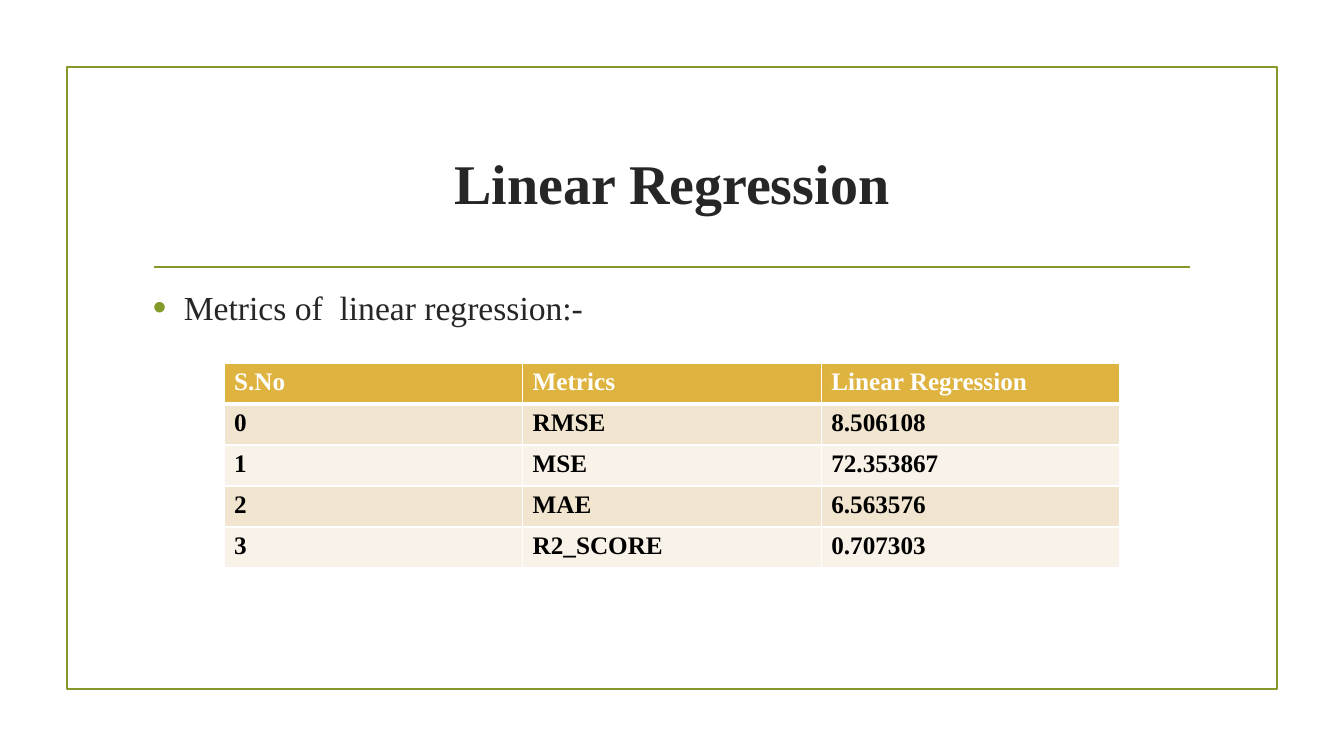
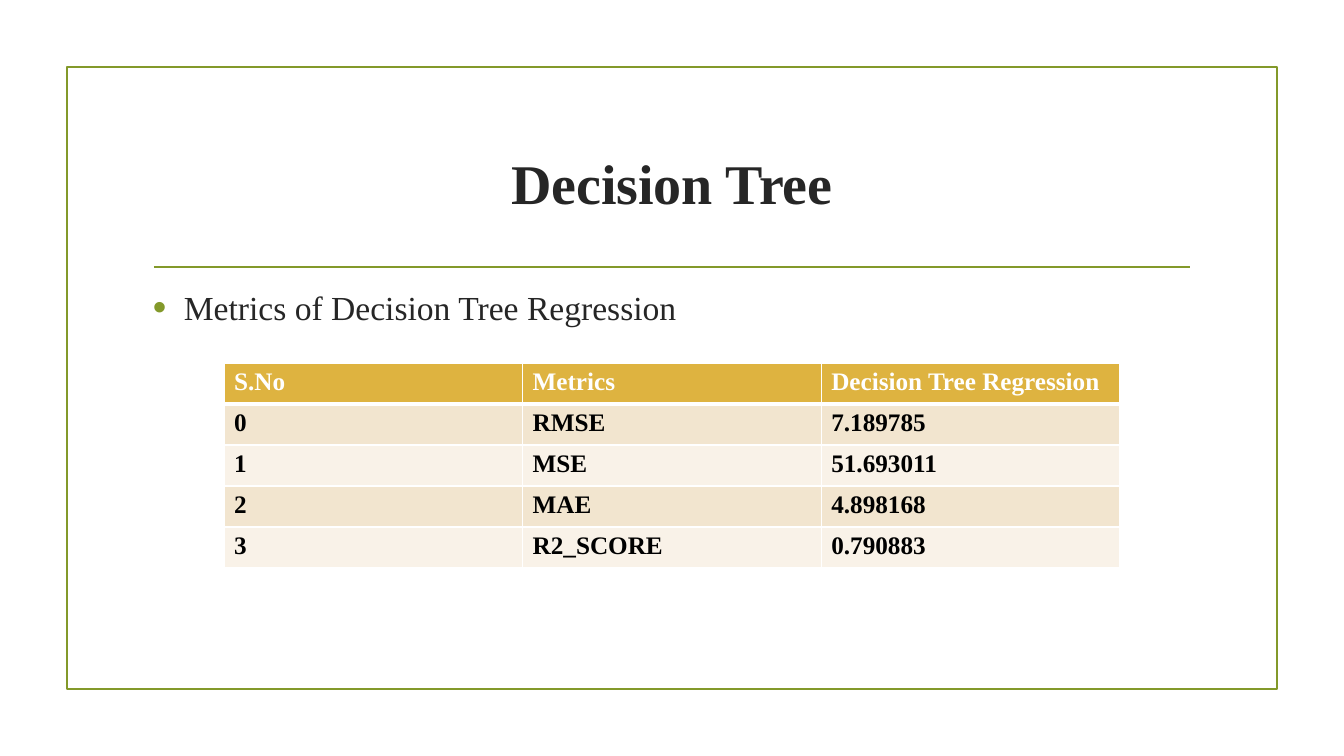
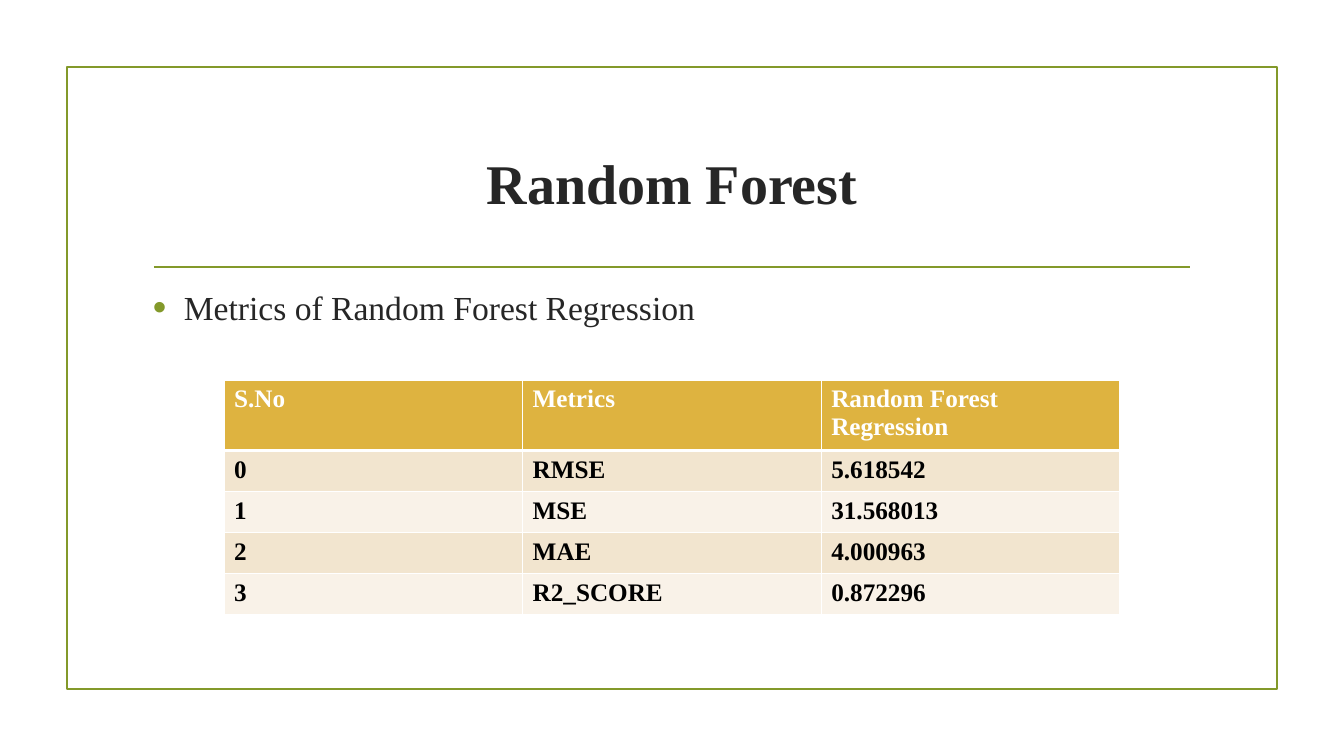
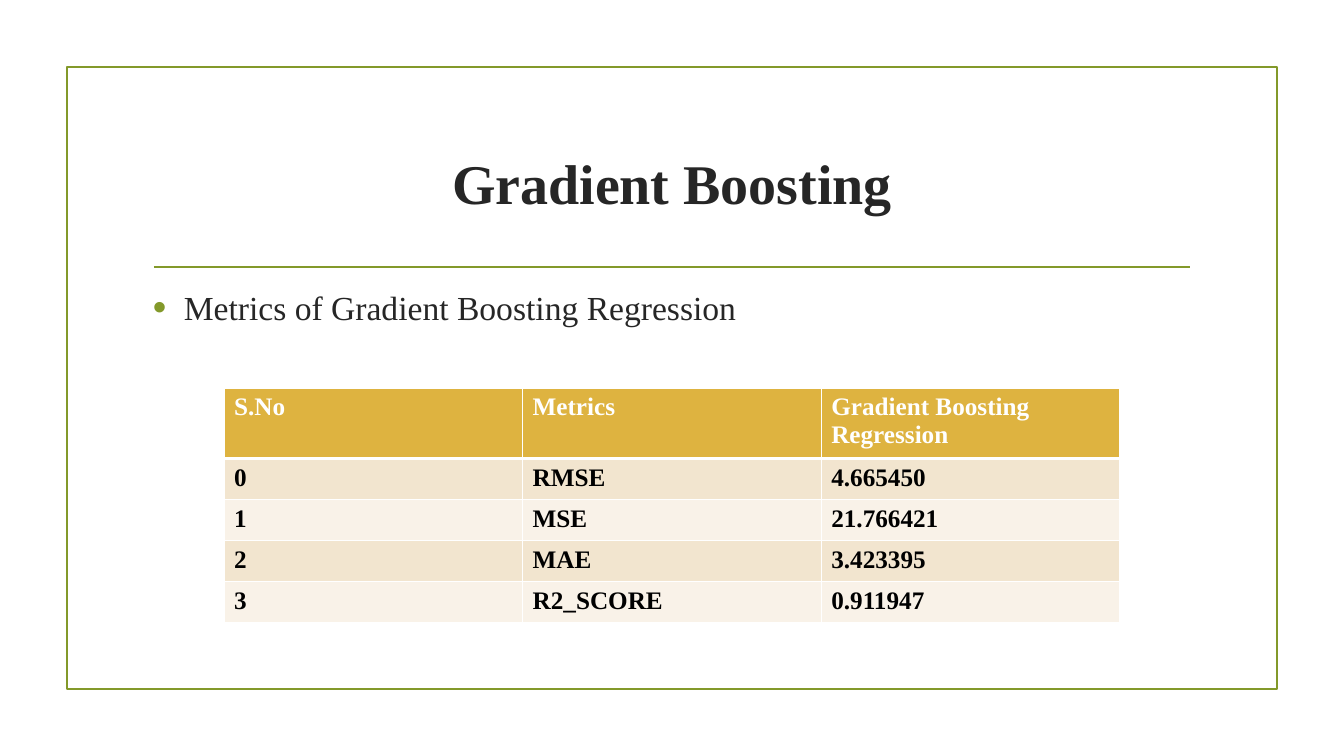
from lxml.etree import SubElement
from pptx import Presentation
from pptx.dml.color import RGBColor
from pptx.enum.shapes import MSO_CONNECTOR, MSO_SHAPE
from pptx.enum.text import MSO_ANCHOR, PP_ALIGN
from pptx.oxml.ns import qn
from pptx.util import Emu, Pt

SCALE = 914400 / 100.8  # EMU per px
FONT = "Times New Roman"
COLORS = {
    "accent": "83992A",
    "text": "262626",
    "header": "DEB340",
    "band_dark": "F2E5CF",
    "band_light": "F9F2E8",
    "white": "FFFFFF",
    "black": "000000",
}
METRICS = ["RMSE", "MSE", "MAE", "R2_SCORE"]
# title, bullet, value column heading, values, table top
MODELS = [
    ("Linear Regression", "Metrics of  linear regression:-", "Linear Regression",
     ["8.506108", "72.353867", "6.563576", "0.707303"], 363),
    ("Decision Tree", "Metrics of Decision Tree Regression", "Decision Tree Regression",
     ["7.189785", "51.693011", "4.898168", "0.790883"], 363),
    ("Random Forest", "Metrics of Random Forest Regression", "Random Forest Regression",
     ["5.618542", "31.568013", "4.000963", "0.872296"], 380),
    ("Gradient Boosting", "Metrics of Gradient Boosting Regression",
     "Gradient Boosting Regression",
     ["4.665450", "21.766421", "3.423395", "0.911947"], 388),
]


def px(*lengths):
    return [Emu(round(n * SCALE)) for n in lengths]


def write(tf, text, size=18, color="text", bold=False, align=PP_ALIGN.LEFT,
          anchor=MSO_ANCHOR.TOP):
    tf.word_wrap = True
    tf.vertical_anchor = anchor
    p = tf.paragraphs[0]
    p.alignment = align
    r = p.add_run()
    r.text = text
    r.font.name = FONT
    r.font.size = Pt(size)
    r.font.bold = bold
    r.font.color.rgb = RGBColor.from_string(COLORS[color])
    return p


prs = Presentation()
prs.slide_width, prs.slide_height = px(1344, 756)

for title, bullet, heading, values, table_top in MODELS:
    s = prs.slides.add_slide(prs.slide_layouts[6])

    # Frame and rule
    frame = s.shapes.add_shape(MSO_SHAPE.RECTANGLE, *px(67, 67, 1210, 622))
    frame.shadow.inherit = False
    frame.fill.background()
    rule = s.shapes.add_connector(MSO_CONNECTOR.STRAIGHT, *px(154, 267, 1190, 267))
    for sp in (frame, rule):
        sp.line.color.rgb = RGBColor.from_string(COLORS["accent"])
        sp.line.width = Pt(1.25)
    SubElement(rule._element.spPr, qn("a:effectLst"))

    # Title
    sp = s.shapes.add_textbox(*px(143, 110, 1058, 144))
    write(sp.text_frame, title, size=40, bold=True, align=PP_ALIGN.CENTER,
          anchor=MSO_ANCHOR.MIDDLE)

    # Bullet
    sp = s.shapes.add_textbox(*px(143, 282, 1058, 366))
    p = write(sp.text_frame, bullet, size=24)
    p.space_before, p.space_after = Pt(2), Pt(6)
    pPr = p._p.get_or_add_pPr()
    indent = px(31)[0]
    pPr.set("marL", str(indent))
    pPr.set("indent", str(-indent))
    SubElement(SubElement(pPr, qn("a:buClr")), qn("a:srgbClr"), val=COLORS["accent"])
    SubElement(pPr, qn("a:buSzPct"), val="115000")
    SubElement(pPr, qn("a:buFont"), typeface="Arial")
    SubElement(pPr, qn("a:buChar"), char="•")

    # Metrics table
    rows = [("S.No", "Metrics", heading)]
    rows += [(str(i), *pair) for i, pair in enumerate(zip(METRICS, values))]
    table = s.shapes.add_table(len(rows), 3, *px(224, table_top, 896, 41 * len(rows))).table
    table.first_row = table.horz_banding = False
    for i, row in enumerate(rows):
        fill = "header" if i == 0 else "band_dark" if i % 2 else "band_light"
        for j, text in enumerate(row):
            cell = table.cell(i, j)
            write(cell.text_frame, text, bold=True, color="black" if i else "white")
            tcPr = cell._tc.get_or_add_tcPr()
            for side in ("L", "R", "T", "B"):
                thick = (i, side) in ((0, "B"), (1, "T"))
                ln = SubElement(tcPr, qn("a:ln" + side), w=str(Pt(3 if thick else 1)))
                SubElement(SubElement(ln, qn("a:solidFill")), qn("a:srgbClr"),
                           val=COLORS["white"])
            cell.fill.solid()
            cell.fill.fore_color.rgb = RGBColor.from_string(COLORS[fill])

prs.save("out.pptx")
